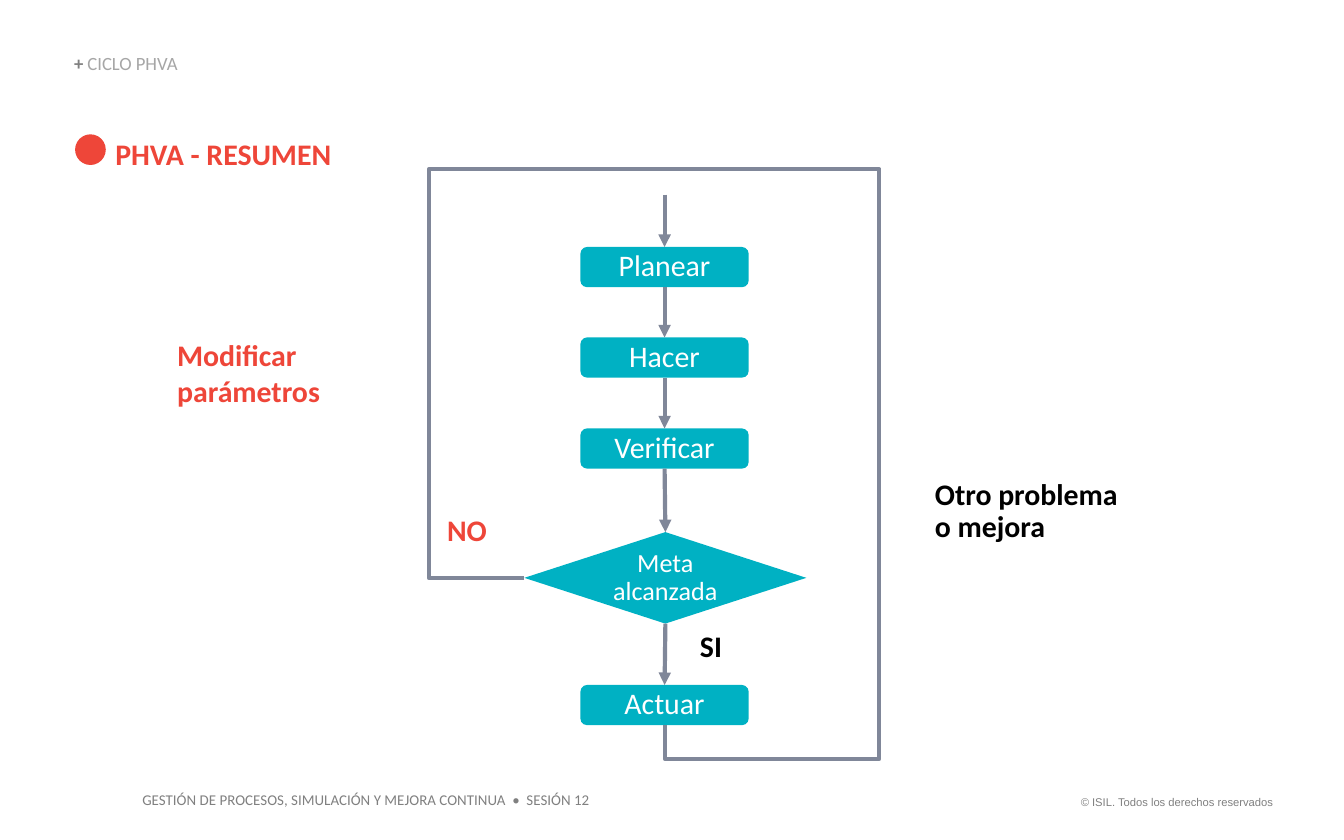
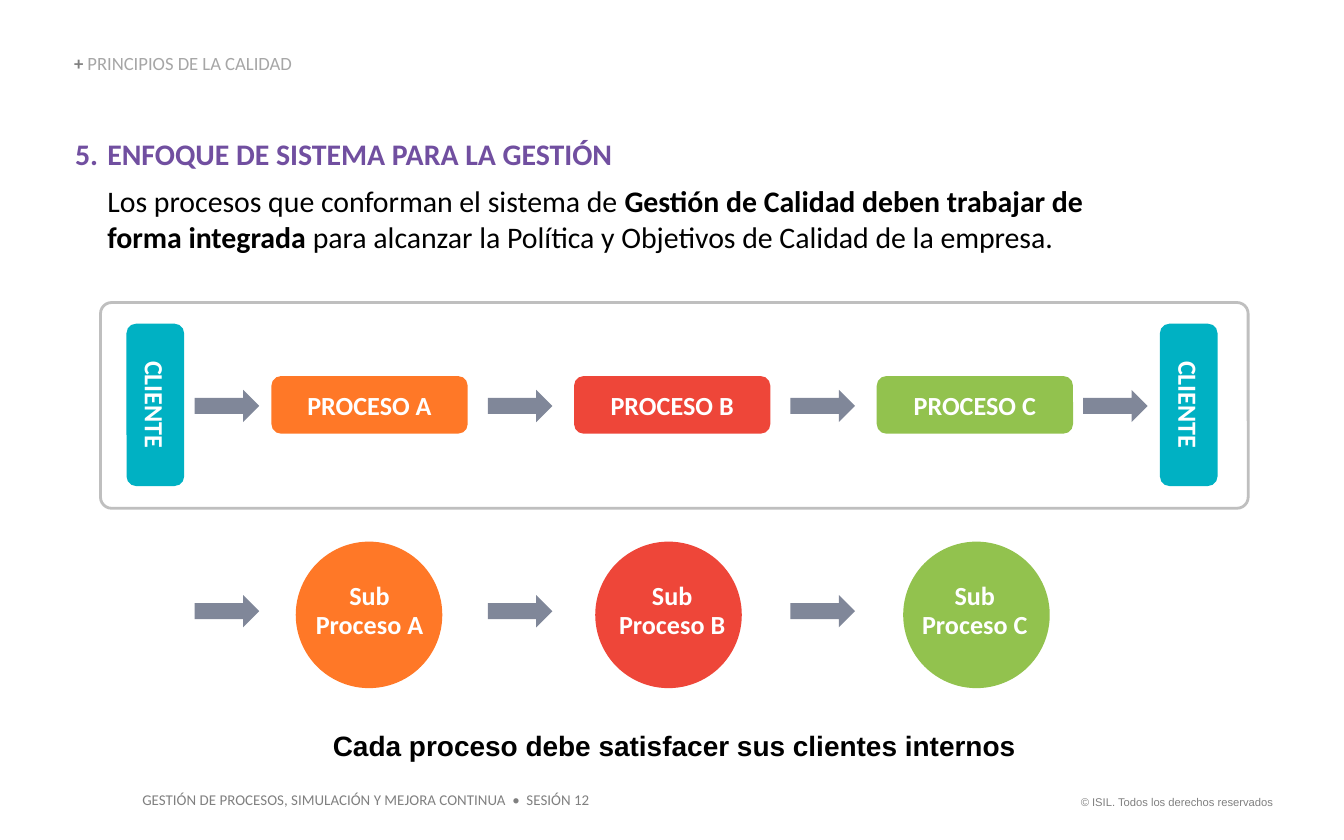
"""Builds two slides: the PHVA flow chart and the system approach to quality management."""
from lxml.etree import SubElement
from pptx import Presentation
from pptx.dml.color import RGBColor
from pptx.enum.shapes import MSO_CONNECTOR, MSO_SHAPE
from pptx.enum.text import MSO_ANCHOR, MSO_AUTO_SIZE, PP_ALIGN
from pptx.oxml.ns import qn
from pptx.util import Cm, Pt

TEAL, RED, ORANGE, GREEN, PURPLE = "00B1C3", "EE4639", "FF7827", "92C24E", "714FA0"
SLATE, GRAY, LIGHT_GRAY, FRAME_GRAY = "808799", "808080", "A6A6A6", "BFBFBF"
BLACK, WHITE = "000000", "FFFFFF"

COPYRIGHT = "© ISIL. Todos los derechos reservados"
COURSE = "GESTIÓN DE PROCESOS, SIMULACIÓN Y MEJORA CONTINUA  •  SESIÓN 12"

STEPS = [("Planear", 4.67), ("Hacer", 6.38), ("Verificar", 8.1), ("Actuar", 12.95)]
STEP_LEFT, STEP_WIDTH, STEP_HEIGHT = 10.97, 3.18, 0.76
FLOW_NOTES = [
    ("Modificar parámetros", RED, (3.1, 6.25, 4.19, 1.63), None),
    ("NO", RED, (8.2, 9.63, 1.7, 0.86), 0.9),
    ("SI", BLACK, (12.98, 11.81, 1.7, 0.86), 0.9),
    ("Otro problema o mejora", BLACK, (17.42, 8.94, 4.29, 1.5), 0.9),
]

PROCESSES = [("A", ORANGE, 5.59), ("B", RED, 11.25), ("C", GREEN, 17.07)]
PROCESS_LEFT, PROCESS_STEP, PROCESS_WIDTH = 5.13, 5.72, 3.71
CLIENT_LEFTS = [1.4, 20.93]
ARROW_LEFTS = [3.68, 9.22, 14.94, 20.47]
ROW_TOP, ROW_HEIGHT = 7.11, 1.09
PRINCIPLE = "ENFOQUE DE SISTEMA PARA LA GESTIÓN"
EXPLANATION = [
    ("Los procesos que conforman el sistema de ", False),
    ("Gestión de Calidad deben trabajar de forma integrada", True),
    (" para alcanzar la Política y Objetivos de Calidad de la empresa.", False),
]
CONCLUSION = "Cada proceso debe satisfacer sus clientes internos"


def color(value):
    return RGBColor.from_string(value)


def lengths(box):
    return [Cm(value) for value in box]


def add_run(paragraph, text, size, tint, bold=False, name="Calibri"):
    run = paragraph.add_run()
    run.text = text
    run.font.size = Pt(size)
    run.font.name = name
    run.font.bold = bold
    run.font.color.rgb = color(tint)


def add_text(slide, box, inset=True):
    frame = slide.shapes.add_textbox(*lengths(box)).text_frame
    frame.word_wrap = True
    frame.auto_size = MSO_AUTO_SIZE.SHAPE_TO_FIT_TEXT
    if not inset:
        frame.margin_left = frame.margin_right = frame.margin_top = frame.margin_bottom = 0
    return frame


def add_block(slide, kind, box, fill=None, lines=(), size=14, bold=False, spacing=None, rounding=None):
    shape = slide.shapes.add_shape(kind, *lengths(box))
    shape.shadow.inherit = False
    shape.line.fill.background()
    if fill:
        shape.fill.solid()
        shape.fill.fore_color.rgb = color(fill)
    else:
        shape.fill.background()
    if rounding:
        shape.adjustments[0] = rounding
    frame = shape.text_frame
    frame.vertical_anchor = MSO_ANCHOR.MIDDLE
    for index, line in enumerate(lines):
        paragraph = frame.add_paragraph() if index else frame.paragraphs[0]
        paragraph.alignment = PP_ALIGN.CENTER
        paragraph.line_spacing = spacing
        add_run(paragraph, line, size, WHITE, bold)
    return shape


def add_line(slide, kind, start, end):
    connector = slide.shapes.add_connector(kind, *lengths(start + end))
    connector.line.color.rgb = color(SLATE)
    connector.line.width = Pt(2.25)
    SubElement(connector.element.spPr, qn("a:effectLst"))
    return connector


def add_arrow(slide, start, end, source, target):
    arrow = add_line(slide, MSO_CONNECTOR.STRAIGHT, start, end)
    if source:
        arrow.begin_connect(source, 2)
    arrow.end_connect(target, 0)
    SubElement(arrow.line._get_or_add_ln(), qn("a:tailEnd"), type="triangle")


def add_bend(slide, source, site, preset, box, rotation, flip_vertical, adjustments):
    left, top, width, height = box
    connector = add_line(slide, MSO_CONNECTOR.ELBOW, (left, top), (left + width, top + height))
    connector.begin_connect(source, site)
    connector.left, connector.top, connector.width, connector.height = lengths(box)
    properties = connector.element.spPr
    transform = properties.find(qn("a:xfrm"))
    transform.set("rot", str(rotation * 60000))
    transform.set("flipH", "1")
    transform.set("flipV", flip_vertical)
    geometry = properties.find(qn("a:prstGeom"))
    geometry.set("prst", preset)
    values = geometry.find(qn("a:avLst"))
    if values is None:
        values = SubElement(geometry, qn("a:avLst"))
    for number, value in enumerate(adjustments, 1):
        SubElement(values, qn("a:gd"), name=f"adj{number}", fmla=f"val {round(value * 100000)}")


def add_base(presentation, topic):
    slide = presentation.slides.add_slide(presentation.slide_layouts[6])
    paragraph = add_text(slide, (20.02, 14.91, 4.29, 0.51)).paragraphs[0]
    paragraph.alignment = PP_ALIGN.RIGHT
    add_run(paragraph, COPYRIGHT, 6, GRAY, name="Arial")
    add_run(add_text(slide, (2.44, 14.83, 8.97, 0.61)).paragraphs[0], COURSE, 8, GRAY)
    header = add_text(slide, (1.4, 1.04, 6.76, 0.38), inset=False)
    header.vertical_anchor = MSO_ANCHOR.BOTTOM
    header.paragraphs[0].line_spacing = 0.9
    add_run(header.paragraphs[0], "+ ", 10, GRAY, True)
    add_run(header.paragraphs[0], topic, 10, LIGHT_GRAY)
    return slide


def build_cycle(presentation):
    slide = add_base(presentation, "CICLO PHVA")
    for text, tint, box, spacing in FLOW_NOTES:
        paragraph = add_text(slide, box).paragraphs[0]
        paragraph.line_spacing = spacing
        add_run(paragraph, text, 16, tint, True)

    decision = add_block(slide, MSO_SHAPE.DIAMOND, (9.91, 10.06, 5.33, 1.73), TEAL,
                         ["Meta alcanzada"], spacing=0.9)
    plan, do, check, act = [
        add_block(slide, MSO_SHAPE.ROUNDED_RECTANGLE, (STEP_LEFT, top, STEP_WIDTH, STEP_HEIGHT),
                  TEAL, [name], 16, spacing=0.9)
        for name, top in STEPS
    ]
    middle = STEP_LEFT + STEP_WIDTH / 2
    chain = [None, plan, do, check, decision, act]
    for source, target in zip(chain, chain[1:]):
        add_arrow(slide, (middle, 3.68), (middle, 4.67), source, target)
    add_bend(slide, act, 2, "bentConnector3", (9.35, 6.45, 10.49, 4.04), 90, "1", [-0.061])
    add_bend(slide, decision, 1, "bentConnector4", (9.91, 3.23, 6.71, 7.7), 180, "0", [-0.269, 1.004])

    title = add_text(slide, (2.18, 2.57, 10.39, 0.69), inset=False)
    add_run(title.paragraphs[0], "PHVA - RESUMEN", 16, RED, True)
    add_block(slide, MSO_SHAPE.OVAL, (1.42, 2.54, 0.58, 0.58), RED)


def add_principle(slide):
    frame = add_text(slide, (1.42, 2.57, 20.55, 3.63), inset=False)
    heading, body = frame.paragraphs[0], frame.add_paragraph()
    for paragraph, indent in ((heading, -0.61), (body, 0)):
        properties = paragraph._p.get_or_add_pPr()
        properties.set("marL", str(Cm(0.61)))
        properties.set("indent", str(Cm(indent)))
    SubElement(heading._p.pPr, qn("a:buAutoNum"), type="arabicPeriod", startAt="5")
    heading.space_after = Pt(6)
    add_run(heading, PRINCIPLE, 16, PURPLE, True)
    for text, bold in EXPLANATION:
        add_run(body, text, 16, BLACK, bold)


def build_system(presentation):
    slide = add_base(presentation, "PRINCIPIOS DE LA CALIDAD")
    add_principle(slide)
    rounded = MSO_SHAPE.ROUNDED_RECTANGLE
    for left in CLIENT_LEFTS:
        client = add_block(slide, rounded, (left, ROW_TOP, 3.07, ROW_HEIGHT), TEAL,
                           ["CLIENTE"], bold=True, rounding=0.167)
        client.rotation = 90
    for index, (letter, tint, circle_left) in enumerate(PROCESSES):
        left = PROCESS_LEFT + index * PROCESS_STEP
        add_block(slide, rounded, (left, ROW_TOP, PROCESS_WIDTH, ROW_HEIGHT), tint,
                  [f"PROCESO {letter}"], bold=True, rounding=0.167)
        add_block(slide, MSO_SHAPE.OVAL, (circle_left, 10.24, 2.77, 2.77), tint)
        add_block(slide, rounded, (left, 10.9, PROCESS_WIDTH, 1.32), None,
                  ["Sub", f"Proceso {letter}"], bold=True, spacing=0.9, rounding=0.167)
    for top, lefts in ((7.37, ARROW_LEFTS), (11.25, ARROW_LEFTS[:3])):
        for left in lefts:
            add_block(slide, MSO_SHAPE.RIGHT_ARROW, (left, top, 1.22, 0.61), SLATE)

    border = add_block(slide, rounded, (1.9, 5.72, 21.69, 3.89), rounding=0.054)
    border.line.color.rgb = color(FRAME_GRAY)
    border.line.width = Pt(1.5)
    paragraph = add_text(slide, (5.94, 13.64, 13.61, 0.89)).paragraphs[0]
    paragraph.alignment = PP_ALIGN.CENTER
    add_run(paragraph, CONCLUSION, 15, BLACK, True, "Arial")


def main():
    presentation = Presentation()
    presentation.slide_width, presentation.slide_height = Cm(25.4), Cm(15.88)
    build_cycle(presentation)
    build_system(presentation)
    presentation.save("out.pptx")


if __name__ == "__main__":
    main()
